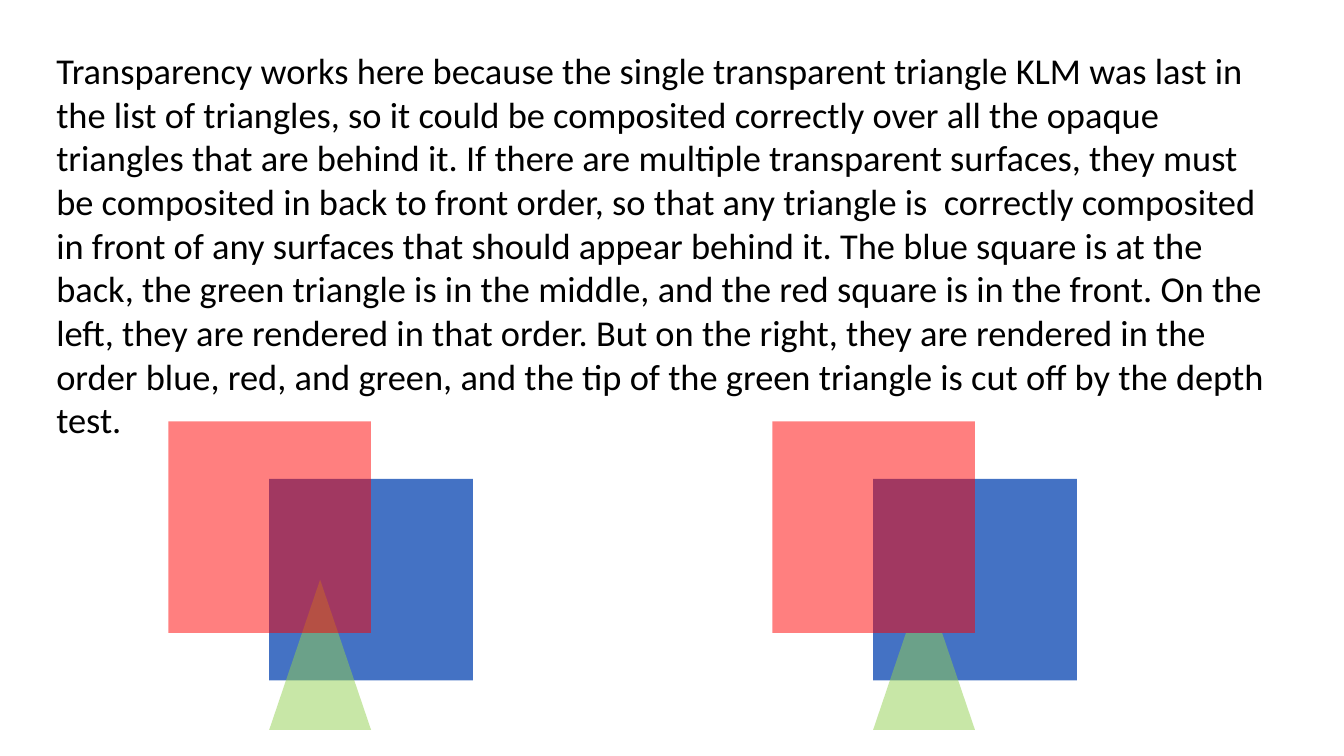
from dataclasses import dataclass
from lxml.etree import SubElement
from pptx import Presentation
from pptx.dml.color import RGBColor as RGB
from pptx.enum.shapes import MSO_SHAPE as Kind
from pptx.enum.text import MSO_AUTO_SIZE as Fit
from pptx.oxml.ns import qn
from pptx.util import Inches, Pt


@dataclass(frozen=True)
class Theme:
    """Hold the colours, font and type size of the slide."""
    ink: str = "000000"
    blue: str = "4472C4"
    green: str = "92D050"
    red: str = "FF0000"
    font: str = "Calibri"
    body: int = 26
    alpha: int = 50


THEME = Theme()
BODY = (
    "Transparency works here because the single transparent triangle KLM was last in "
    "the list of triangles, so it could be composited correctly over all the opaque "
    "triangles that are behind it. If there are multiple transparent surfaces, they must "
    "be composited in back to front order, so that any triangle is  correctly composited "
    "in front of any surfaces that should appear behind it. The blue square is at the "
    "back, the green triangle is in the middle, and the red square is in the front. On the "
    "left, they are rendered in that order. But on the right, they are rendered in the "
    "order blue, red, and green, and the tip of the green triangle is cut off by the depth "
    "test."
)


def write(frame, text, size=THEME.body, color=THEME.ink, font=THEME.font):
    """Put formatted text into a text frame."""
    run = frame.paragraphs[0].add_run()
    run.text = text
    run.font.size = Pt(size)
    run.font.name = font
    run.font.color.rgb = RGB.from_string(color)


def prose(slide, box, text):
    """Place the wrapped paragraph in its box."""
    frame = slide.shapes.add_textbox(*map(Inches, box)).text_frame
    frame.word_wrap = True
    frame.auto_size = Fit.SHAPE_TO_FIT_TEXT
    write(frame, text)


def paint(slide, kind, box, color, alpha=100):
    """Draw a borderless shape with an optional see-through fill."""
    shape = slide.shapes.add_shape(kind, *map(Inches, box))
    shape.shadow.inherit = False
    shape.line.fill.background()
    shape.fill.solid()
    shape.fill.fore_color.rgb = RGB.from_string(color)
    if alpha < 100:
        tint = next(shape.fill._xPr.iter(qn("a:srgbClr")))
        SubElement(tint, qn("a:alpha"), val=str(alpha * 1000))


def stack(slide, box, cut=False):
    """Layer the blue, green and red surfaces, cutting the green tip on request."""
    left, top, wide, high = box
    mid, side, drop = left + 1, 2.1, 1.57
    paint(slide, Kind.RECTANGLE, (mid, top + 0.57, wide - 1, 2), THEME.blue)
    paint(slide, Kind.ISOSCELES_TRIANGLE, (mid, top + drop, 1.01, high - drop),
          THEME.green, THEME.alpha)
    if cut:
        paint(slide, Kind.RECTANGLE, (mid + 0.11, top + side - 0.65, 0.75, 0.65), THEME.blue)
    paint(slide, Kind.RECTANGLE, (left, top, 2.01, side), THEME.red, THEME.alpha)


def build():
    """Build and save the slide."""
    deck = Presentation()
    deck.slide_width, deck.slide_height = Inches(13.33), Inches(7.5)
    slide = deck.slides.add_slide(deck.slide_layouts[6])
    prose(slide, (0.46, 0.43, 12.38, 3.6), BODY)
    for left, cut in ((1.67, False), (7.66, True)):
        stack(slide, (left, 4.18, 3.02, 3.06), cut)
    deck.save("out.pptx")


build()
